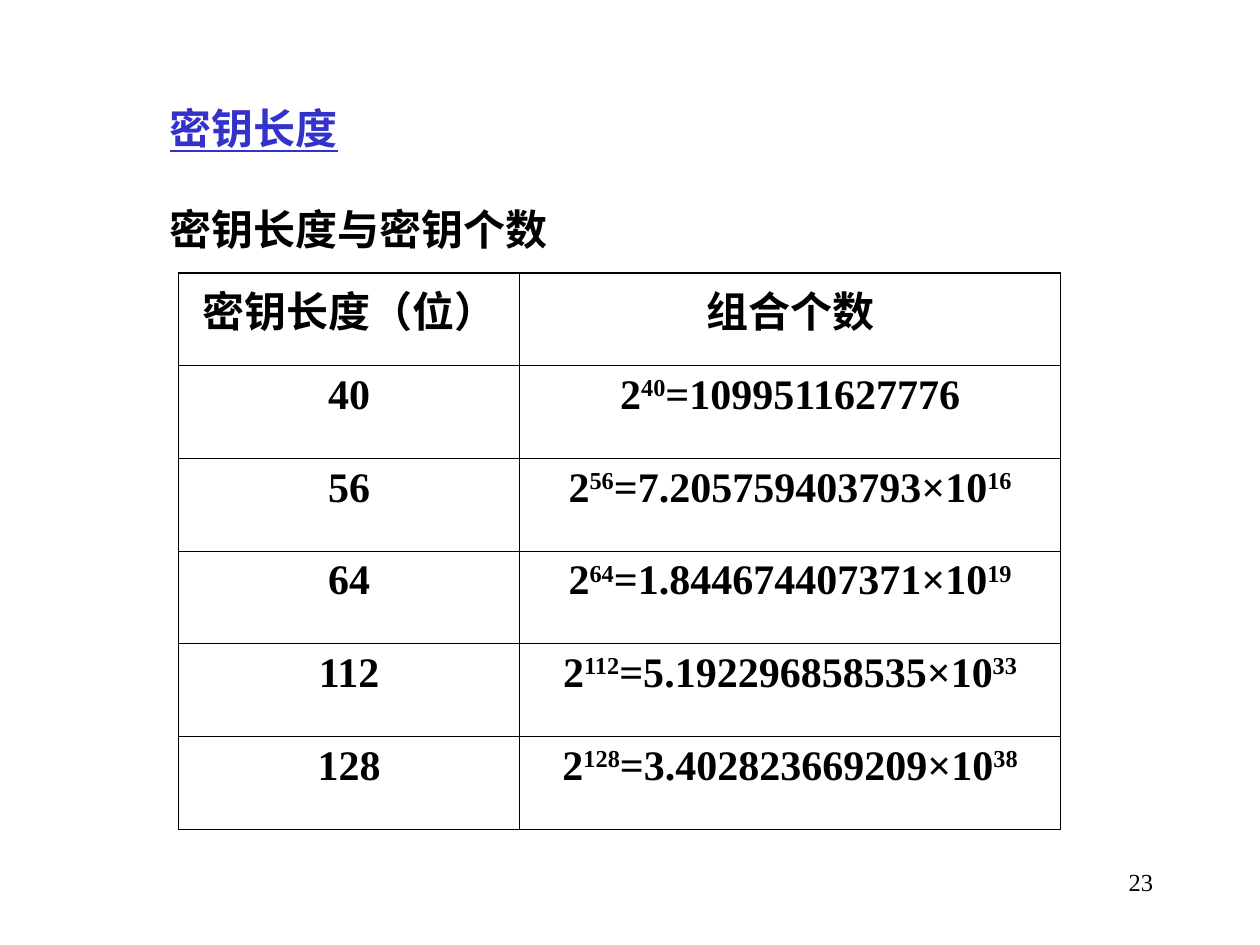
from lxml import etree
from pptx import Presentation
from pptx.dml.color import RGBColor
from pptx.enum import text
from pptx.oxml import ns
from pptx.util import Pt

BLACK = RGBColor(0x00, 0x00, 0x00)
BLUE = RGBColor(0x33, 0x33, 0xCC)
FACE = "Times New Roman"
THICK, THIN = Pt(0.96), Pt(0.45)
HEADS = ["密钥长度（位）", "组合个数"]
KEYS = [
    ("40", "1099511627776", ""),
    ("56", "7.205759403793×10", "16"),
    ("64", "1.844674407371×10", "19"),
    ("112", "5.192296858535×10", "33"),
    ("128", "3.402823669209×10", "38"),
]


def style(para, size, color=BLACK, bold=False):
    font = para.font
    font.name, font.size, font.bold = FACE, Pt(size), bold
    font.color.rgb = color
    return font


def add_frame(slide, box):
    frame = slide.shapes.add_textbox(*map(Pt, box)).text_frame
    frame.word_wrap = True
    return frame


def add_title(slide, box):
    frame = add_frame(slide, box)
    frame.vertical_anchor = text.MSO_ANCHOR.MIDDLE
    head = frame.paragraphs[0]
    head.text = "密钥长度"
    style(head, 24, BLUE, True).underline = True
    sub = frame.add_paragraph()
    sub.text = "密钥长度与密钥个数"
    sub.space_before = Pt(29)
    style(sub, 24, bold=True)


def add_border(cell, widths):
    props = cell._tc.get_or_add_tcPr()
    for spot, (side, width) in enumerate(zip("LRTB", widths)):
        line = etree.Element(ns.qn(f"a:ln{side}"), w=str(width))
        fill = etree.SubElement(line, ns.qn("a:solidFill"))
        etree.SubElement(fill, ns.qn("a:srgbClr"), val=str(BLACK))
        props.insert(spot, line)


def fill_cell(cell, parts):
    cell.fill.background()
    para = cell.text_frame.paragraphs[0]
    para.alignment = text.PP_ALIGN.CENTER
    for spot, part in enumerate(parts):
        run = para.add_run()
        run.text = part
        if spot % 2:
            run._r.get_or_add_rPr().set("baseline", "30000")
    style(para, 24, bold=True)


def add_grid(slide, box):
    rows = [[[head] for head in HEADS]]
    for bits, count, power in KEYS:
        parts = ["2", bits, "=" + count] + ([power] if power else [])
        rows.append([[bits], parts])
    last = len(rows) - 1
    grid = slide.shapes.add_table(len(rows), 2, *map(Pt, box)).table
    grid.first_row = grid.horz_banding = False
    left = 195
    for col, width in zip(grid.columns, (left, box[2] - left)):
        col.width = Pt(width)
    for r, row in enumerate(rows):
        for c, parts in enumerate(row):
            cell = grid.cell(r, c)
            fill_cell(cell, parts)
            bold = (c == 0, c == 1, r < 2, r in (0, last))
            add_border(cell, [THICK if b else THIN for b in bold])


def add_number(slide, box):
    para = add_frame(slide, box).paragraphs[0]
    para.text = "23"
    para.alignment = text.PP_ALIGN.RIGHT
    style(para, 14)


def main():
    deck = Presentation()
    deck.slide_width, deck.slide_height = Pt(720), Pt(540)
    slide = deck.slides.add_slide(deck.slide_layouts[6])
    add_title(slide, (90, 54, 576, 96))
    add_grid(slide, (102, 156, 504, 318))
    add_number(slide, (516, 492, 150, 36))
    deck.save("out.pptx")


if __name__ == "__main__":
    main()
